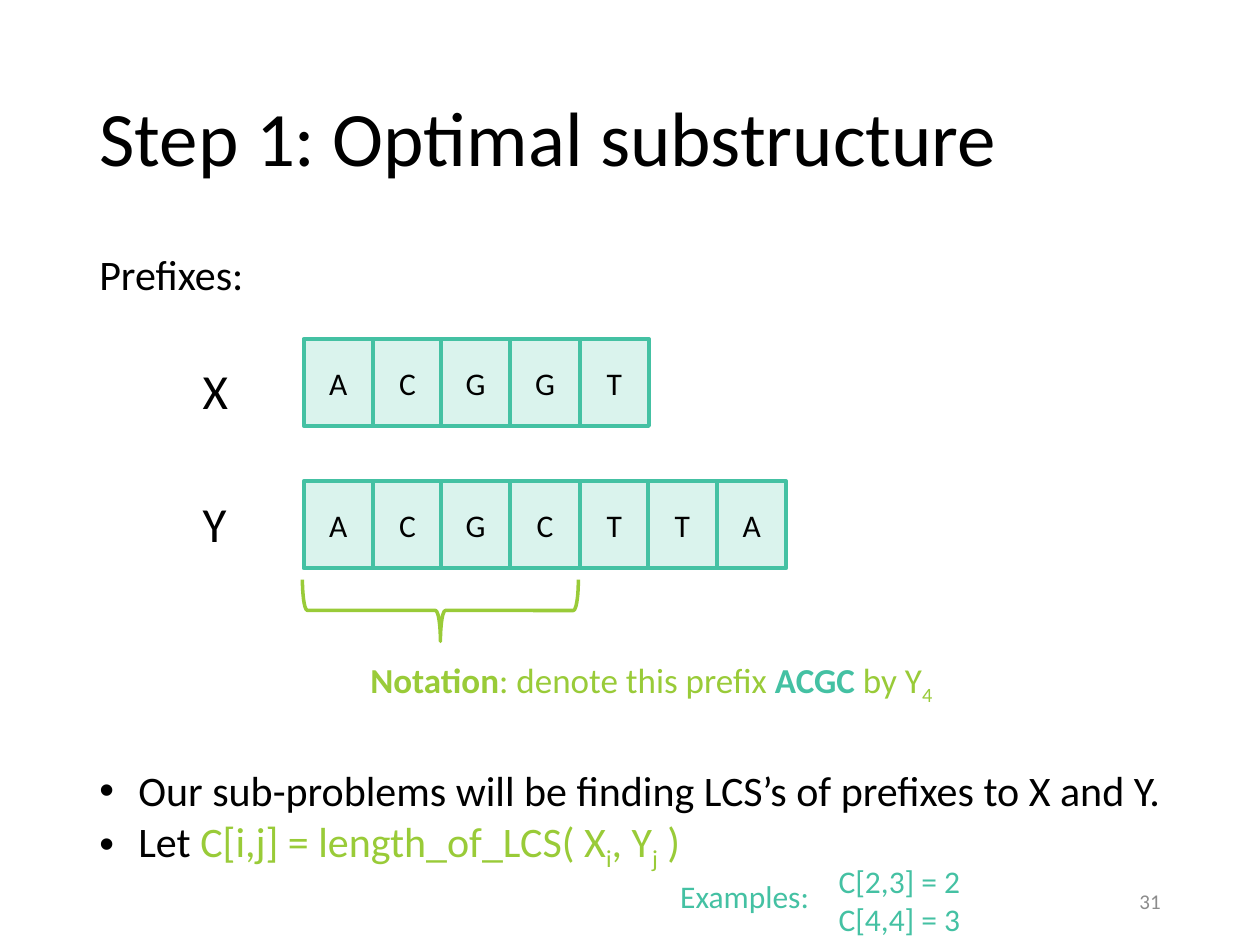
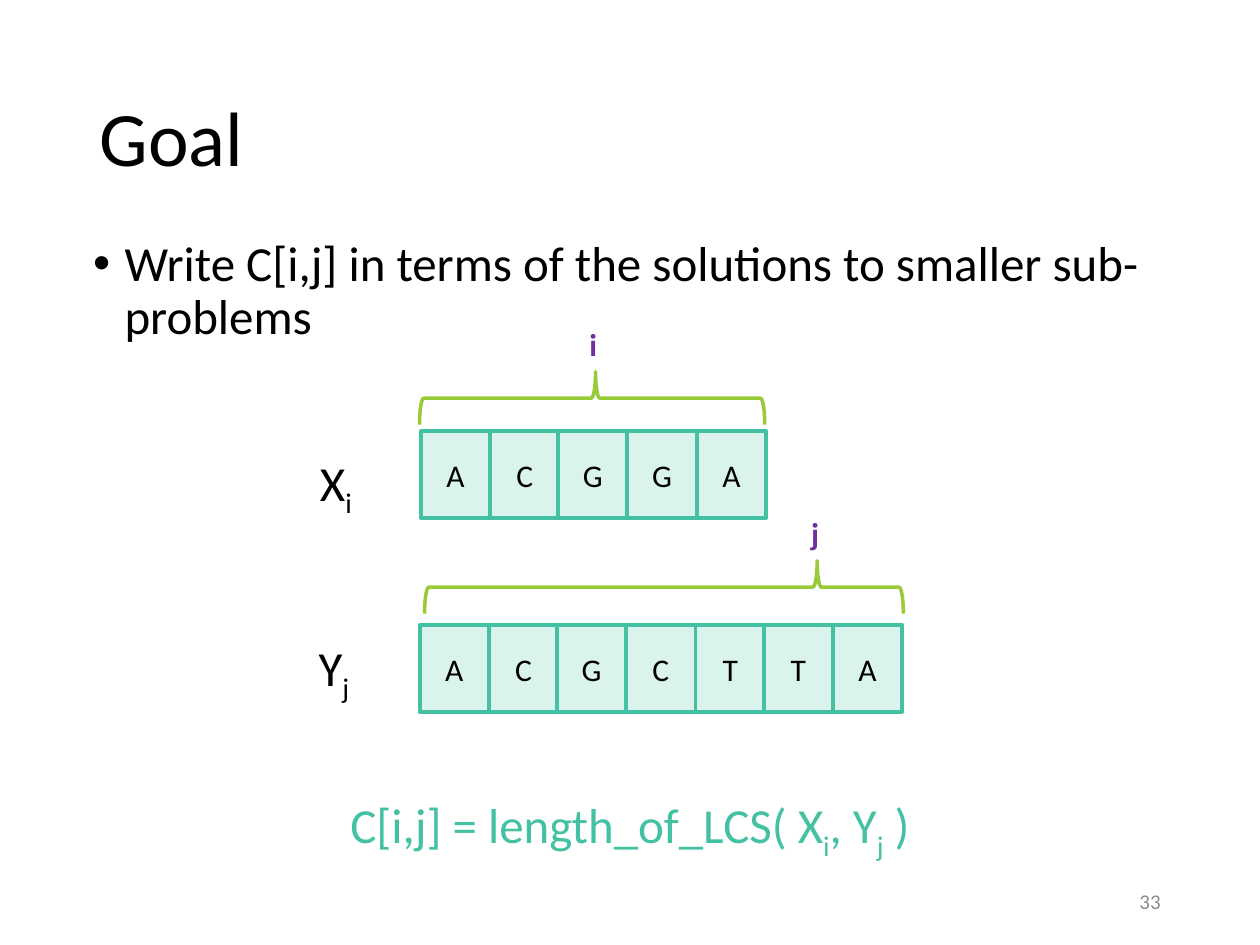
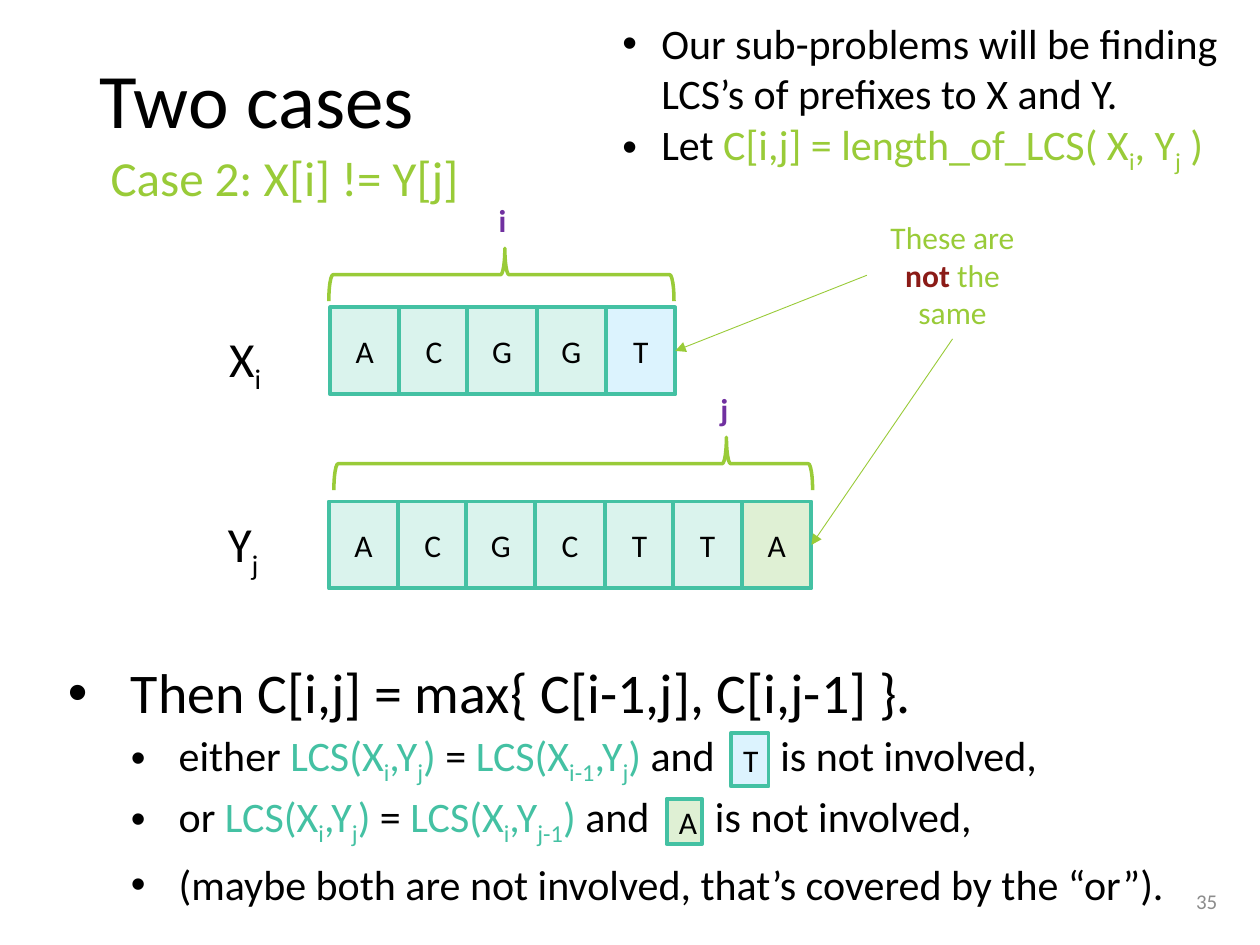
from dataclasses import dataclass

from lxml import etree
from pptx import Presentation
from pptx.dml.color import RGBColor
from pptx.enum.shapes import MSO_CONNECTOR, MSO_SHAPE
from pptx.enum.text import MSO_ANCHOR, PP_ALIGN
from pptx.oxml.ns import qn
from pptx.util import Emu, Pt

LEFT, CENTER, RIGHT = PP_ALIGN.LEFT, PP_ALIGN.CENTER, PP_ALIGN.RIGHT
TOP, MIDDLE = MSO_ANCHOR.TOP, MSO_ANCHOR.MIDDLE
RECTANGLE, BRACE = MSO_SHAPE.RECTANGLE, MSO_SHAPE.RIGHT_BRACE
STRAIGHT = MSO_CONNECTOR.STRAIGHT
BOTTOM_SIDE, LEFT_SIDE, RIGHT_SIDE = 2, 1, 3

EMU_PER_PX = 9144  # 100 px to the inch
FONT = "Calibri"
COLORS = {
    "black": "000000",
    "teal": "44C1A3",
    "green": "99CB38",
    "purple": "7030A0",
    "red": "8B1B17",
    "gray": "8C8C8C",
    "mint": "DAF3ED",
    "sky": "DCF3FE",
    "leaf": "DFF0D4",
}
LAST_CELL, CELL_STEPS = 328, 6  # distance from the first to the seventh cell
CELL_WIDTH, CELL_HEIGHT = 55, 69


@dataclass
class Span:
    text: str
    color: str = ""
    bold: bool = False
    subscript: bool = False
    tracking: int = 0  # extra points after each letter


@dataclass
class Para:
    spans: list[Span]
    size: int = 0
    indent: int = 0
    hanging: int = 0
    level: int = 0


@dataclass
class Box:
    left: int
    top: int
    width: int
    height: int

    def emu(self) -> list[Emu]:
        return [px(n) for n in (self.left, self.top, self.width, self.height)]


def px(length: float) -> Emu:
    return Emu(round(length * EMU_PER_PX))


def rgb(name: str) -> RGBColor:
    return RGBColor.from_string(COLORS[name])


def spans_of(text: str, color: str = "", bold: bool = False) -> list[Span]:
    """Split text into spans; parts between tildes are subscripts."""
    return [Span(part, color, bold, index % 2 == 1)
            for index, part in enumerate(text.split("~")) if part]


# Text
def add_bullet(para, indent: int, hanging: int) -> None:
    properties = para._p.get_or_add_pPr()
    properties.set("marL", str(px(indent)))
    properties.set("indent", str(-px(hanging)))
    etree.SubElement(properties, qn("a:buFont")).set("typeface", "Arial")
    etree.SubElement(properties, qn("a:buChar")).set("char", "•")


def write_text(frame, text: str | list[Para], *, size: int = 18, color: str = "black",
               bold: bool = False, align=LEFT, anchor=TOP, spacing=None) -> None:
    frame.word_wrap = True
    frame.vertical_anchor = anchor
    paras = [Para(spans_of(text, bold=bold))] if isinstance(text, str) else text
    for index, item in enumerate(paras):
        para = frame.paragraphs[0] if index == 0 else frame.add_paragraph()
        if item.hanging:
            add_bullet(para, item.indent, item.hanging)
        para.level = item.level
        para.alignment = align
        if spacing:
            para.line_spacing = spacing
        for span in item.spans:
            run = para.add_run()
            run.text = span.text
            run.font.name = FONT
            run.font.size = Pt(item.size or size)
            run.font.bold = span.bold
            run.font.color.rgb = rgb(span.color or color)
            if span.subscript:
                run._r.get_or_add_rPr().set("baseline", "-25000")
            if span.tracking:
                run._r.get_or_add_rPr().set("spc", str(span.tracking * 100))


def add_text(page, box: Box, text: str | list[Para], **text_format):
    shape = page.shapes.add_textbox(*box.emu())
    write_text(shape.text_frame, text, **text_format)
    return shape


# Shared page parts
def add_page(deck, title: str, number: int, *, title_height: int = 145, number_left: int = 706):
    page = deck.slides.add_slide(deck.slide_layouts[5])
    heading = page.shapes.title
    heading.left, heading.top, heading.width, heading.height = Box(69, 40, 862, title_height).emu()
    write_text(heading.text_frame, title, size=44, anchor=MIDDLE, spacing=0.9)
    add_text(page, Box(number_left, 695, 225, 40), str(number), size=12, color="gray",
             align=RIGHT, anchor=MIDDLE)
    return page


def add_cell(page, box: Box, letter: str, fill: str = "mint"):
    cell = page.shapes.add_shape(RECTANGLE, *box.emu())
    cell.shadow.inherit = False
    cell.fill.solid()
    cell.fill.fore_color.rgb = rgb(fill)
    cell.line.color.rgb = rgb("teal")
    cell.line.width = Pt(2.25)
    write_text(cell.text_frame, letter, align=CENTER, anchor=MIDDLE)
    return cell


def add_word(page, left: int, top: int, word: str, last_fill: str = "mint"):
    """Draw one cell per letter and return the last cell."""
    for index, letter in enumerate(word):
        box = Box(left + round(index * LAST_CELL / CELL_STEPS), top, CELL_WIDTH, CELL_HEIGHT)
        cell = add_cell(page, box, letter, last_fill if index == len(word) - 1 else "mint")
    return cell


def add_brace(page, box: Box, *, point: float = 0.5, upward: bool = True) -> None:
    """Draw a lying brace that fills the box as seen on the page."""
    turned = Box(box.left + (box.width - box.height) // 2,
                 box.top + (box.height - box.width) // 2, box.height, box.width)
    brace = page.shapes.add_shape(BRACE, *turned.emu())
    brace.shadow.inherit = False
    brace.fill.background()
    brace.line.color.rgb = rgb("green")
    brace.line.width = Pt(2)
    brace.adjustments[0] = 0.08
    brace.adjustments[1] = point
    brace.rotation = 90
    if upward:
        brace._element.spPr.find(qn("a:xfrm")).set("flipH", "1")


def add_arrow(page, source, source_side: int, target, target_side: int) -> None:
    arrow = page.shapes.add_connector(STRAIGHT, 0, 0, 0, 0)
    arrow.begin_connect(source, source_side)
    arrow.end_connect(target, target_side)
    arrow.line.color.rgb = rgb("green")
    arrow.line.width = Pt(0.5)
    etree.SubElement(arrow.line._get_or_add_ln(), qn("a:tailEnd")).set("type", "triangle")
    etree.SubElement(arrow._element.spPr, qn("a:effectLst"))


def add_prefix_pair(page, left: int, top: int, x_word: str, y_word: str,
                    x_last: str = "mint", y_last: str = "mint"):
    """Draw the prefixes with braces and return both last cells."""
    last_x = add_word(page, left, top, x_word, x_last)
    last_y = add_word(page, left - 1, top + 154, y_word, y_last)
    add_text(page, Box(left - 90, top + 12, 59, 57), "X~i~", size=28)
    add_text(page, Box(left - 91, top + 159, 59, 57), "Y~j~", size=28)
    add_brace(page, Box(left - 1, top - 47, 274, 42), point=0.49)
    add_brace(page, Box(left + 3, top + 103, 380, 42), point=0.18)
    add_text(page, Box(left + 124, top - 89, 55, 40), "i", color="purple", bold=True)
    add_text(page, Box(left + 300, top + 61, 77, 40), "j", color="purple", bold=True)
    return last_x, last_y


LENGTH_FORMULA = "C[i,j] = length_of_LCS( X~i~, Y~j~ )"


def add_subproblems(page, box: Box) -> None:
    add_text(page, box, [
        Para(spans_of("Our sub-problems will be finding LCS’s of prefixes to X and Y."),
             indent=31, hanging=31),
        Para([Span("Let ")] + spans_of(LENGTH_FORMULA, "green"), indent=31, hanging=31),
    ], size=24)


# Slides
def build_substructure(deck) -> None:
    page = add_page(deck, "Step 1: Optimal substructure", 31)
    add_text(page, Box(69, 192, 313, 50), "Prefixes:", size=24)
    add_word(page, 241, 269, "ACGGT")
    add_word(page, 241, 382, "ACGCTTA")
    add_text(page, Box(151, 281, 59, 57), "X", size=28)
    add_text(page, Box(151, 387, 59, 57), "Y", size=28)
    add_brace(page, Box(240, 460, 219, 49), upward=False)
    notation = [Span("Notation", bold=True), Span(": denote this prefix"),
                Span(" ACGC ", "teal", bold=True)] + spans_of("by Y~4~")
    add_text(page, Box(284, 518, 478, 44), [Para(notation)], size=20, color="green")
    add_subproblems(page, Box(69, 602, 943, 91))
    add_text(page, Box(528, 691, 124, 40), "Examples:", color="teal", align=RIGHT)
    examples = [Para(spans_of(line)) for line in ("C[2,3] = 2", "C[4,4] = 3")]
    add_text(page, Box(597, 679, 175, 71), examples, color="teal", align=RIGHT)


def build_goal(deck) -> None:
    page = add_page(deck, "Goal", 33)
    goal = "Write C[i,j] in terms of the solutions to smaller sub-problems"
    add_text(page, Box(64, 185, 862, 100), [Para(spans_of(goal), indent=25, hanging=25)],
             size=28, spacing=0.9)
    add_prefix_pair(page, 334, 342, "ACGGA", "ACGCTTA")
    add_text(page, Box(250, 626, 500, 57), LENGTH_FORMULA, size=28, color="teal", align=CENTER)


def option(word: str, x_index: str, y_index: str) -> Para:
    """One alternative, with a wide gap left for a letter cell."""
    spans = ([Span(word)] + spans_of(" LCS(X~i~,Y~j~) ", "teal") + [Span("=")]
             + spans_of(f" LCS(X~{x_index}~,Y~{y_index}~) ", "teal")
             + [Span("and"), Span(" ", tracking=32), Span("is not involved,")])
    return Para(spans, size=24, indent=88, hanging=38, level=1)


def build_two_cases(deck) -> None:
    # The page number stands right of the long last line
    page = add_page(deck, "Two cases", 35, title_height=85, number_left=751)
    add_subproblems(page, Box(484, 9, 509, 131))
    add_text(page, Box(78, 112, 514, 57), "Case 2: X[i] != Y[j]", size=28, color="green")
    last_x, last_y = add_prefix_pair(page, 262, 244, "ACGGT", "ACGCTTA", "sky", "leaf")

    # Remark pointing at both last letters
    remark = [Span("These are "), Span("not", "red", bold=True), Span(" the same")]
    remark_box = add_text(page, Box(688, 168, 136, 101), [Para(remark)],
                          color="green", align=CENTER)
    add_arrow(page, remark_box, BOTTOM_SIDE, last_y, RIGHT_SIDE)
    add_arrow(page, remark_box, LEFT_SIDE, last_x, RIGHT_SIDE)

    # Conclusion with letter cells inside its lines
    add_text(page, Box(44, 522, 914, 210), [
        Para(spans_of("Then C[i,j] = max{ C[i-1,j], C[i,j-1] }."), size=32, indent=50, hanging=50),
        option("either", "i-1", "j"),
        option("or", "i", "j-1"),
        Para(spans_of("(maybe both are not involved, that’s covered by the “or”)."),
             size=24, indent=88, hanging=38, level=1),
    ], spacing=Pt(35))
    add_cell(page, Box(529, 634, 28, 36), "A", "leaf")
    add_cell(page, Box(580, 582, 30, 42), "T", "sky")


def main() -> None:
    deck = Presentation()
    deck.slide_width, deck.slide_height = px(1000), px(750)
    build_substructure(deck)
    build_goal(deck)
    build_two_cases(deck)
    deck.save("out.pptx")


if __name__ == "__main__":
    main()
